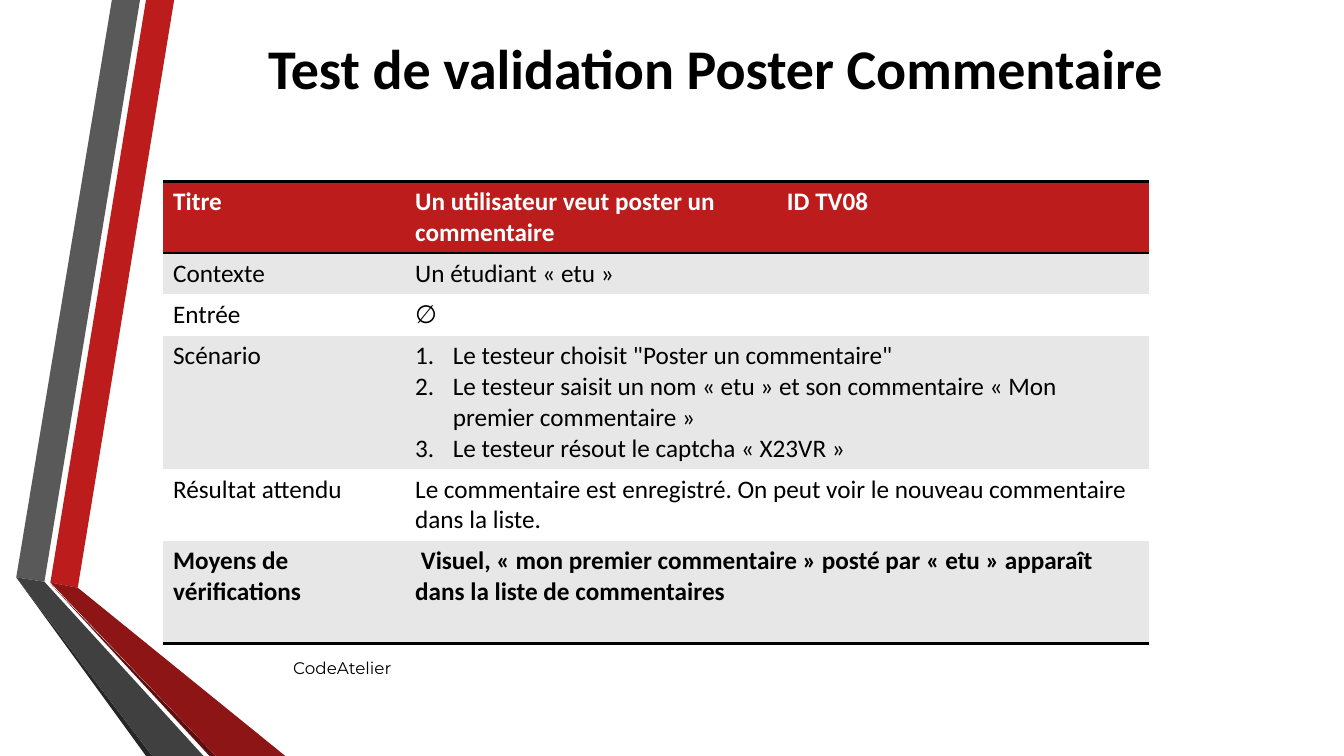
from dataclasses import dataclass

from lxml.etree import SubElement
from pptx import Presentation
from pptx.dml.color import RGBColor as RGB
from pptx.enum.text import MSO_ANCHOR as ANCHOR, PP_ALIGN as ALIGN
from pptx.oxml import parse_xml
from pptx.oxml.ns import nsdecls, qn
from pptx.util import Cm, Pt


@dataclass(frozen=True)
class Theme:
    black: str = "000000"
    white: str = "FFFFFF"
    red: str = "BC1C1C"
    red_fold: str = "8D1515"
    red_edge: str = "5E0E0E"
    grey: str = "595959"
    grey_fold: str = "404040"
    grey_edge: str = "262626"
    band: str = "E7E7E7"
    font: str = "Calibri"
    footer_font: str = "Montserrat"
    title_size: int = 40
    body_size: int = 18
    footer_size: int = 12
    rule_width: int = 2


@dataclass(frozen=True)
class Ribbon:
    color: str
    points: tuple[tuple[float, float], ...]


@dataclass(frozen=True)
class Row:
    height: float
    cells: tuple[str, ...]
    bold: bool = False
    numbered: bool = False
    rules: tuple[str, ...] = ()


T = Theme()
W, H = 33.87, 19.05

RIBBONS = (
    Ribbon(T.red, ((1.27, 14.68), (1.96, 14.81), (4.39, 0), (3.68, 0))),
    Ribbon(T.grey, ((3.53, 0), (2.82, 0), (0.41, 14.55), (1.12, 14.66))),
    Ribbon(T.grey_edge, ((0.41, 14.55), (3.68, H), (3.84, H))),
    Ribbon(T.red_edge, ((1.27, 14.71), (5.28, H), (5.44, H))),
    Ribbon(T.red_fold, ((1.27, 14.68), (5.44, H), (7.19, H), (1.96, 14.81))),
    Ribbon(T.grey_fold, ((5.13, H), (1.12, 14.66), (0.41, 14.55), (3.84, H))),
)

COLUMNS = (6.1, 9.37, 9.37)
ROWS = (
    Row(1.81, ("Titre", "Un utilisateur veut poster un commentaire", "ID TV08"),
        bold=True, rules=("lnT", "lnB")),
    Row(1.04, ("Contexte", "Un étudiant «\u00a0etu\u00a0»")),
    Row(1.04, ("Entrée", "∅")),
    Row(3.36, ("Scénario",
               "Le testeur choisit \"Poster un commentaire\"\n"
               "Le testeur saisit un nom « etu\u00a0» et son commentaire "
               "«\u00a0Mon premier commentaire\u00a0»\n"
               "Le testeur résout le captcha\u00a0«\u00a0X23VR\u00a0»"),
        numbered=True),
    Row(1.81, ("Résultat attendu",
               "Le commentaire est enregistré. On peut voir le nouveau "
               "commentaire dans la liste.")),
    Row(2.58, ("Moyens de vérifications",
               " Visuel, «\u00a0mon premier commentaire\u00a0» posté par "
               "«\u00a0etu\u00a0» apparaît dans la liste de commentaires"),
        bold=True, rules=("lnB",)),
)


def add_run(p, text: str, size: int, color: str = T.black,
            bold: bool = False, font: str = T.font) -> None:
    r = p.add_run()
    r.text = text
    r.font.name, r.font.size, r.font.bold = font, Pt(size), bold
    r.font.color.rgb = RGB.from_string(color)


def add_ribbon(shapes, ribbon: Ribbon) -> None:
    start, *rest = [(Cm(x), Cm(y)) for x, y in ribbon.points]
    fb = shapes.build_freeform(*start, scale=1.0)
    fb.add_line_segments(rest, close=True)
    sp = fb.convert_to_shape()
    sp.shadow.inherit = False
    sp.fill.solid()
    sp.fill.fore_color.rgb = RGB.from_string(ribbon.color)
    sp.line.fill.background()


def number_paragraph(p) -> None:
    pPr = p._p.get_or_add_pPr()
    pPr.set("marL", str(Cm(0.95)))
    pPr.set("indent", str(-Cm(0.95)))
    SubElement(pPr, qn("a:buAutoNum"), type="arabicPeriod")


def rule_cell(cell, sides: tuple[str, ...]) -> None:
    tcPr = cell._tc.get_or_add_tcPr()
    for i, side in enumerate(sides):
        tcPr.insert(i, parse_xml(
            f'<a:{side} {nsdecls("a")} w="{Pt(T.rule_width)}"><a:solidFill>'
            f'<a:srgbClr val="{T.black}"/></a:solidFill></a:{side}>'))


def fill_row(table, index: int, row: Row) -> None:
    header = index == 0
    fill = T.red if header else T.band if index % 2 else T.white
    table.rows[index].height = Cm(row.height)
    cells = [table.cell(index, c) for c in range(len(COLUMNS))]
    if len(row.cells) < len(COLUMNS):
        cells[1].merge(cells[-1])
    for cell in cells:
        cell.fill.solid()
        cell.fill.fore_color.rgb = RGB.from_string(fill)
        rule_cell(cell, row.rules)
    for col, (cell, text) in enumerate(zip(cells, row.cells)):
        tf = cell.text_frame
        for n, line in enumerate(text.split("\n")):
            p = tf.add_paragraph() if n else tf.paragraphs[0]
            if row.numbered and col:
                number_paragraph(p)
            add_run(p, line, T.body_size, T.white if header else T.black, row.bold)


prs = Presentation()
prs.slide_width, prs.slide_height = Cm(W), Cm(H)
s = prs.slides.add_slide(prs.slide_layouts[5])

# Folded ribbons on the left
for ribbon in RIBBONS:
    add_ribbon(s.shapes, ribbon)

# Title, raised by a deep bottom inset
title = s.shapes.title
title.left, title.top, title.width, title.height = Cm(4.11), Cm(0), Cm(27.84), Cm(4.88)
tf = title.text_frame
tf.word_wrap = True
tf.vertical_anchor = ANCHOR.MIDDLE
tf.margin_bottom = Cm(1.63)
p = tf.paragraphs[0]
p.alignment = ALIGN.CENTER
add_run(p, "Test de validation Poster Commentaire", T.title_size, bold=True)

# Team name
tf = s.shapes.add_textbox(Cm(7.14), Cm(16.33), Cm(19.69), Cm(1.02)).text_frame
tf.word_wrap = True
tf.vertical_anchor = ANCHOR.MIDDLE
add_run(tf.paragraphs[0], "CodeAtelier", T.footer_size, font=T.footer_font)

# Test sheet, on the plain table style
table = s.shapes.add_table(
    len(ROWS), len(COLUMNS), Cm(4.11), Cm(4.57),
    Cm(sum(COLUMNS)), Cm(sum(row.height for row in ROWS))).table
table.first_row = table.horz_banding = False
table._tbl.tblPr.find(qn("a:tableStyleId")).text = "{2D5ABB26-0587-4C30-8999-92F81FD0307C}"
for column, width in zip(table.columns, COLUMNS):
    column.width = Cm(width)
for index, row in enumerate(ROWS):
    fill_row(table, index, row)

prs.save("out.pptx")
